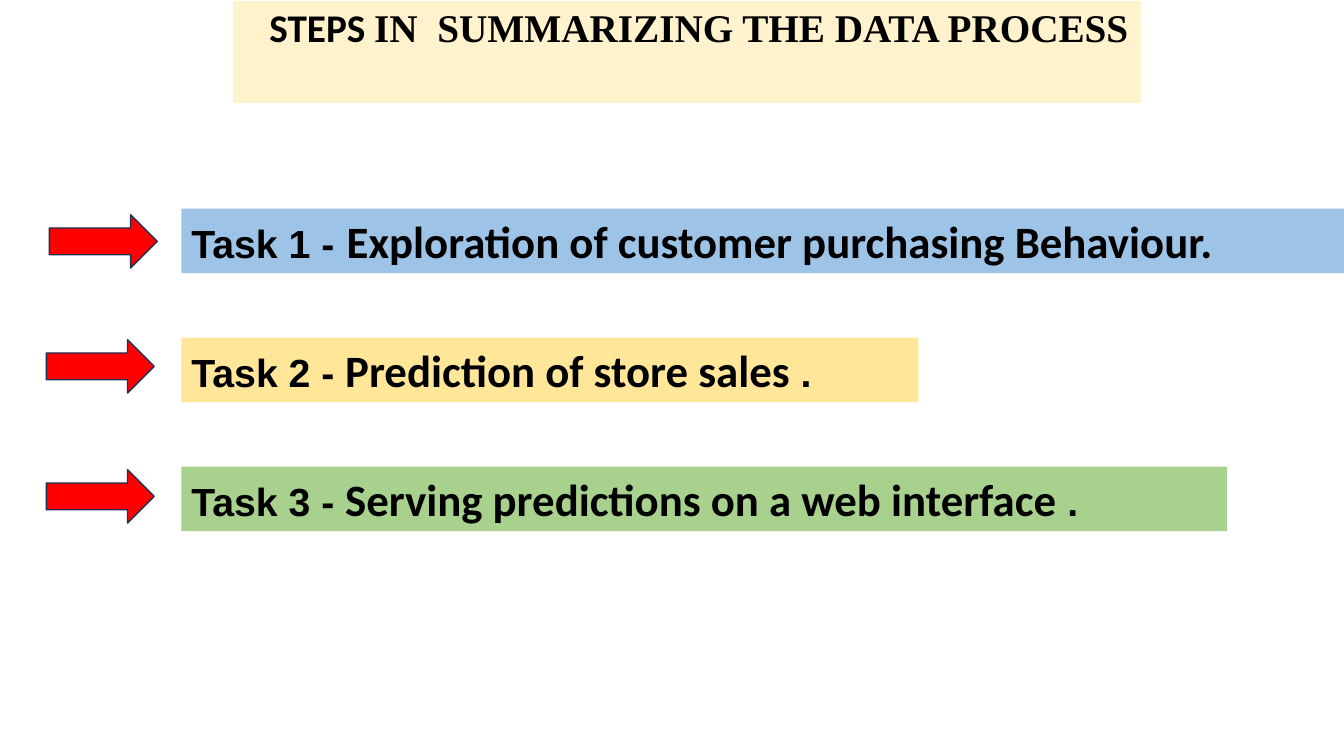
"""Build the slide that lists the three steps of the data process."""
from pptx import Presentation
from pptx.dml.color import RGBColor as Rgb
from pptx.enum.shapes import MSO_SHAPE as Kind
from pptx.enum.text import MSO_AUTO_SIZE as Fit, PP_ALIGN as Align
from pptx.util import Inches, Pt

HUES = {"cream": "FFF2CC", "blue": "9DC3E6", "gold": "FFE699", "green": "A9D18E",
        "red": "FF0000", "navy": "1E3256", "black": "000000"}
TITLE = [("STEPS ", "Calibri", 28), ("IN  SUMMARIZING THE DATA PROCESS", "Times New Roman", 28)]
TASKS = [
    ("blue", 11.54, (0.49, 2.13), [("Task 1 -", "Arial", 28), (" ", "Arial", 32),
     ("Exploration of customer purchasing Behaviour.", "Calibri", 32)]),
    ("gold", 7.31, (0.46, 3.37), [("Task 2 - ", "Arial", 28),
     ("Prediction of store sales ", "Calibri", 32), (".", "Arial", 28)]),
    ("green", 10.37, (0.46, 4.66), [("Task 3 - ", "Arial", 28),
     ("Serving predictions on a web interface ", "Calibri", 32), (".", "Arial", 28)]),
]
LEFT, TOP, PITCH, HIGH = 1.8, 2.07, 1.28, 0.64


def hue(name):
    return Rgb.from_string(HUES[name])


def paint(item, name):
    item.fill.solid()
    item.fill.fore_color.rgb = hue(name)


def write(frame, runs):
    para = frame.paragraphs[0]
    para.font.bold = True
    para.font.color.rgb = hue("black")
    for text, face, size in runs:
        run = para.add_run()
        run.text = text
        run.font.name, run.font.size = face, Pt(size)
    return para


def add_title(slide):
    grid = slide.shapes.add_table(1, 1, Inches(2.31), 0, Inches(9.01), Inches(1.03)).table
    cell = grid.cell(0, 0)
    paint(cell, "cream")
    cell.margin_left, cell.margin_right = Inches(0.3), Inches(0.07)
    write(cell.text_frame, TITLE).alignment = Align.CENTER


def add_arrow(slide, left, top):
    arrow = slide.shapes.add_shape(
        Kind.RIGHT_ARROW, Inches(left), Inches(top), Inches(1.07), Inches(0.53))
    arrow.shadow.inherit = False
    paint(arrow, "red")
    arrow.line.color.rgb = hue("navy")
    arrow.line.width = Pt(1)


def add_task(slide, row, tint, wide, runs):
    box = slide.shapes.add_textbox(
        Inches(LEFT), Inches(TOP + row * PITCH), Inches(wide), Inches(HIGH))
    paint(box, tint)
    frame = box.text_frame
    frame.word_wrap = True
    frame.auto_size = Fit.SHAPE_TO_FIT_TEXT
    write(frame, runs)


def main():
    deck = Presentation()
    deck.slide_width, deck.slide_height = Inches(13.33), Inches(7.5)
    slide = deck.slides.add_slide(deck.slide_layouts[6])
    add_title(slide)
    for row, (tint, wide, spot, runs) in enumerate(TASKS):
        add_arrow(slide, *spot)
        add_task(slide, row, tint, wide, runs)
    deck.save("out.pptx")


if __name__ == "__main__":
    main()
